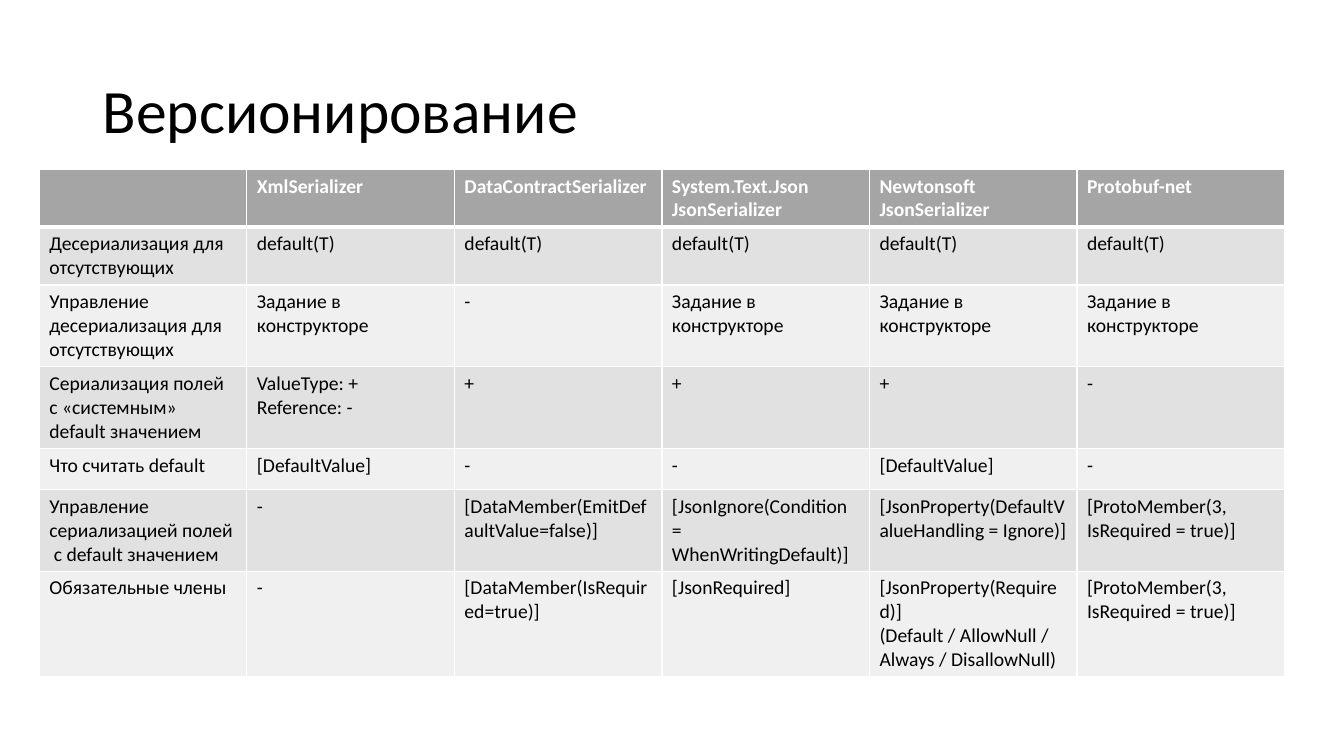
from dataclasses import dataclass

from lxml.etree import SubElement
from pptx import Presentation
from pptx.dml.color import RGBColor as RGB
from pptx.enum.text import MSO_ANCHOR, PP_ALIGN
from pptx.oxml.ns import qn
from pptx.util import Inches, Pt


@dataclass(frozen=True)
class Theme:
    font: str = "Calibri"
    title_size: int = 44
    table_size: int = 14
    text: str = "000000"
    header_text: str = "FFFFFF"
    header: str = "A5A5A5"
    bands: tuple = ("F0F0F0", "E1E1E1")
    border: str = "FFFFFF"


THEME = Theme()

ROWS = [
    ["", "XmlSerializer", "DataContractSerializer", "System.Text.Json\nJsonSerializer",
     "Newtonsoft\nJsonSerializer", "Protobuf-net"],
    ["Десериализация для отсутствующих"] + ["default(T)"] * 5,
    ["Управление десериализация для отсутствующих", "Задание в конструкторе", "-"]
    + ["Задание в конструкторе"] * 3,
    ["Сериализация полей  с «системным» default значением",
     "ValueType: +\nReference: -", "+", "+", "+", "-"],
    ["Что считать default", "[DefaultValue]", "-", "-", "[DefaultValue]", "-"],
    ["Управление сериализацией полей  с default значением", "-",
     "[DataMember(EmitDefaultValue=false)]",
     "[JsonIgnore(Condition  = WhenWritingDefault)]",
     "[JsonProperty(DefaultValueHandling = Ignore)]",
     "[ProtoMember(3, IsRequired = true)]"],
    ["Обязательные члены", "-", "[DataMember(IsRequired=true)]", "[JsonRequired]",
     "[JsonProperty(Required)]\n(Default / AllowNull / Always / DisallowNull)",
     "[ProtoMember(3, IsRequired = true)]"],
]
ROW_HEIGHTS = [0.57, 0.57, 0.81, 0.81, 0.41, 0.81, 1.04]


def set_borders(cell, top, bottom):
    """Draw all four sides; top and bottom are widths in points."""
    tc_pr = cell._tc.get_or_add_tcPr()
    for side, width in (("L", 1), ("R", 1), ("T", top), ("B", bottom)):
        ln = SubElement(tc_pr, qn(f"a:ln{side}"), w=str(Pt(width)))
        fill = SubElement(ln, qn("a:solidFill"))
        SubElement(fill, qn("a:srgbClr"), val=THEME.border)


prs = Presentation()
prs.slide_width, prs.slide_height = Inches(13.33), Inches(7.5)
s = prs.slides.add_slide(prs.slide_layouts[5])

title = s.shapes.title
title.left, title.top = Inches(0.92), Inches(0.4)
title.width, title.height = Inches(11.5), Inches(1.45)
tf = title.text_frame
tf.text = "Версионирование"
tf.vertical_anchor = MSO_ANCHOR.MIDDLE
p = tf.paragraphs[0]
p.alignment = PP_ALIGN.LEFT
p.line_spacing = 0.9
p.font.name = THEME.font
p.font.size = Pt(THEME.title_size)
p.font.color.rgb = RGB.from_string(THEME.text)

table = s.shapes.add_table(
    len(ROWS), len(ROWS[0]), Inches(0.39), Inches(1.68),
    Inches(12.35), Inches(sum(ROW_HEIGHTS))).table
for row, height in zip(table.rows, ROW_HEIGHTS):
    row.height = Inches(height)

for i, texts in enumerate(ROWS):
    is_header = i == 0
    for j, text in enumerate(texts):
        cell = table.cell(i, j)
        set_borders(cell, top=3 if i == 1 else 1, bottom=3 if is_header else 1)
        cell.fill.solid()
        cell.fill.fore_color.rgb = RGB.from_string(
            THEME.header if is_header else THEME.bands[i % 2])
        cell.text = text
        for p in cell.text_frame.paragraphs:
            p.font.name = THEME.font
            p.font.size = Pt(THEME.table_size)
            p.font.bold = is_header
            p.font.color.rgb = RGB.from_string(
                THEME.header_text if is_header else THEME.text)

prs.save("out.pptx")
